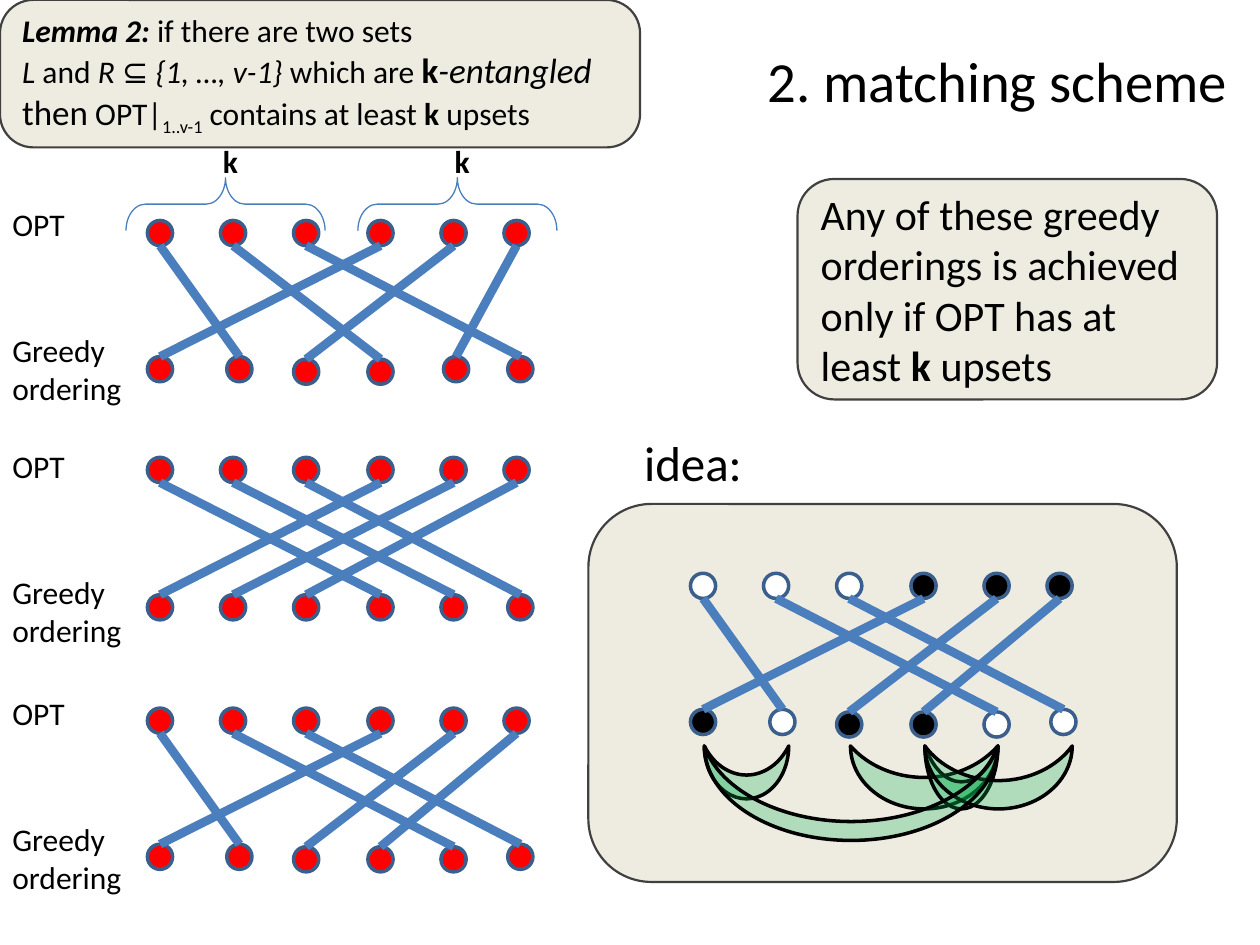
import pptx
import pptx.util
import pptx.dml.color
import pptx.enum.shapes
import pptx.enum.text
import pptx.oxml.ns
from lxml import etree

Inches = pptx.util.Inches
SHAPE = pptx.enum.shapes.MSO_SHAPE
ALIGN = pptx.enum.text.PP_ALIGN
ANCHOR = pptx.enum.text.MSO_ANCHOR

FONT = "Calibri"
BLACK, WHITE, RED, GREEN = "000000", "FFFFFF", "FF0000", "00B050"
PANEL, PANEL_EDGE = "EEECE1", "404040"
LINK, DOT_EDGE = "4B7EBC", "3A5F8C"

DOT = 0.2
TOP_X = [0, 0.58, 1.16, 1.75, 2.33, 2.83]
# Bottom dots as (x, y) from the first top dot, and the bottom dot of each top dot
PARTLY_CROSSED = ([(0, 1.08), (0.63, 1.08), (1.16, 1.1), (1.75, 1.1), (2.35, 1.08), (2.86, 1.08)],
                  [1, 3, 5, 0, 2, 4])
FULLY_CROSSED = ([(x, 1.09) for x in TOP_X[:5] + [2.86]], [3, 4, 5, 0, 1, 2])
MIXED = ([(0, 1.08), (0.63, 1.08), (1.16, 1.1), (1.75, 1.1), (2.33, 1.1), (2.86, 1.08)],
         [1, 4, 5, 0, 2, 3])


def rgb(color):
    return pptx.dml.color.RGBColor.from_string(color)


def write(tf, paragraphs, size, align=ALIGN.LEFT, anchor=ANCHOR.TOP):
    """Fill a text frame; each paragraph is a list of (text, font values)."""
    tf.word_wrap = True
    tf.vertical_anchor = anchor
    for i, runs in enumerate(paragraphs):
        p = tf.paragraphs[0] if i == 0 else tf.add_paragraph()
        p.alignment = align
        for text, values in runs:
            r = p.add_run()
            r.text = text
            style = {"name": FONT, "size": size, "bold": False, "italic": False, **values}
            baseline = style.pop("baseline", None)
            style["size"] = pptx.util.Pt(style["size"])
            for name, value in style.items():
                setattr(r.font, name, value)
            r.font.color.rgb = rgb(BLACK)
            if baseline:
                r.font._element.set("baseline", str(baseline))


def add_label(s, box, text, size=18, bold=False, **layout):
    tb = s.shapes.add_textbox(*map(Inches, box))
    write(tb.text_frame, [[(text, {"bold": bold})]], size, **layout)


def add_shape(s, kind, box, fill, edge, width, adjust=(), rotation=0):
    sp = s.shapes.add_shape(kind, *map(Inches, box))
    sp.shadow.inherit = False
    sp.rotation = rotation
    for i, value in enumerate(adjust):
        sp.adjustments[i] = value
    if fill:
        sp.fill.solid()
        sp.fill.fore_color.rgb = rgb(fill)
    else:
        sp.fill.background()
    sp.line.color.rgb = rgb(edge)
    sp.line.width = pptx.util.Pt(width)
    return sp


def add_panel(s, box, corner=0.167):
    return add_shape(s, SHAPE.ROUNDED_RECTANGLE, box, PANEL, PANEL_EDGE, 1.25, [corner])


def add_link(s, start, end):
    ln = s.shapes.add_connector(pptx.enum.shapes.MSO_CONNECTOR.STRAIGHT,
                                *map(Inches, (*start, *end)))
    ln.line.color.rgb = rgb(LINK)
    ln.line.width = pptx.util.Pt(5)
    etree.SubElement(ln._element.spPr, pptx.oxml.ns.qn("a:effectLst"))


def add_matching(s, x, y, matching, colors):
    """Two rows of dots joined by links; a bottom dot has its partner's colour."""
    bottom, partners = matching
    for dx, partner, color in zip(TOP_X, partners, colors):
        bx, by = bottom[partner]
        for left, top in ((x + dx, y), (x + bx, y + by)):
            add_shape(s, SHAPE.OVAL, (left, top, DOT, DOT), color, DOT_EDGE, 2)
    for dx, partner in zip(TOP_X, partners):
        bx, by = bottom[partner]
        add_link(s, (x + dx + DOT / 2, y + DOT), (x + bx + DOT / 2, y + by))


def add_example(s, y, label_y, matching):
    add_label(s, (0, label_y, 0.75, 0.4), "OPT")
    add_label(s, (0, label_y + 1, 1.67, 0.71), "Greedy ordering")
    add_matching(s, 1.17, y, matching, [RED] * 6)


def add_brace(s, x):
    """Brace over three dots, with its count above."""
    add_shape(s, SHAPE.RIGHT_BRACE, (x, 0.83, 0.42, 1.58), None, LINK, 0.75, [0.367, 0.5], 270)
    add_label(s, (x + 0.09, 1.08, 0.75, 0.4), "k", bold=True)


def add_arc(s, left, top, width, height, thickness):
    """Crescent hanging below the dots, in a box given as it is seen."""
    shift = (width - height) / 2
    sp = add_shape(s, SHAPE.MOON, (left + shift, top - shift, height, width),
                   GREEN, BLACK, 2, [thickness], 270)
    color = sp.fill._xPr.find(".//" + pptx.oxml.ns.qn("a:srgbClr"))
    etree.SubElement(color, pptx.oxml.ns.qn("a:alpha"), val="26000")


def add_lemma(s, box):
    bold, italic = {"bold": True}, {"italic": True}
    sp = add_panel(s, box, 0.226)
    write(sp.text_frame, [
        [("Lemma 2: ", {**bold, **italic}), ("if there are two sets", {})],
        [("L", italic), (" and ", {}), ("R ⊆ {1, …, v-1}", italic), (" which are ", {}),
         ("k", {**bold, "size": 20}), ("-entangled ", {**italic, "size": 20}),
         ("then", {"size": 20}), (" OPT|", {}), ("1..v-1", {"baseline": -25000}),
         (" contains at least ", {}), ("k", bold), (" upsets", {})],
    ], 18, anchor=ANCHOR.MIDDLE)


def add_claim(s, box):
    sp = add_panel(s, box)
    write(sp.text_frame, [[
        ("Any of these greedy orderings is achieved only if OPT has at least ", {}),
        ("k", {"bold": True}), (" upsets", {})]], 24, anchor=ANCHOR.MIDDLE)


def add_idea(s, x, y, w, h):
    add_panel(s, (x, y, w, h))
    add_label(s, (x + 0.08, y - 0.67, 1.5, 0.67), "idea:", 28,
              align=ALIGN.CENTER, anchor=ANCHOR.MIDDLE)
    add_matching(s, x + 0.81, y + 0.55, MIXED, [WHITE] * 3 + [BLACK] * 3)
    # Arcs as left, width, height, thickness
    for left, width, height, thickness in (
            (2.08, 1.17, 0.5, 0.5), (2.67, 0.58, 0.5, 0.43), (2.67, 1.17, 0.5, 0.45),
            (0.92, 0.67, 0.42, 0.45), (0.92, 2.33, 0.75, 0.2)):
        add_arc(s, x + left, y + 1.92, width, height, thickness)


def add_title(s, box, text):
    sp = s.shapes.title
    sp.left, sp.top, sp.width, sp.height = map(Inches, box)
    write(sp.text_frame, [[(text, {})]], 32.4, ALIGN.CENTER, ANCHOR.MIDDLE)


def main():
    prs = pptx.Presentation()
    prs.slide_width, prs.slide_height = Inches(10), Inches(7.5)
    s = prs.slides.add_slide(prs.slide_layouts[5])

    add_title(s, (5.83, 0.01, 4.17, 1.25), "2. matching scheme")

    # Left column: example orderings
    for y, label_y, matching in ((1.75, 1.58, PARTLY_CROSSED), (3.63, 3.5, FULLY_CROSSED),
                                 (5.62, 5.46, MIXED)):
        add_example(s, y, label_y, matching)
    for x in (1.58, 3.42):
        add_brace(s, x)

    # Statements and idea
    add_claim(s, (6.33, 1.42, 3.33, 1.75))
    add_lemma(s, (0, 0, 5.08, 1.17))
    add_idea(s, 4.67, 4, 4.67, 3)

    prs.save("out.pptx")


if __name__ == "__main__":
    main()
